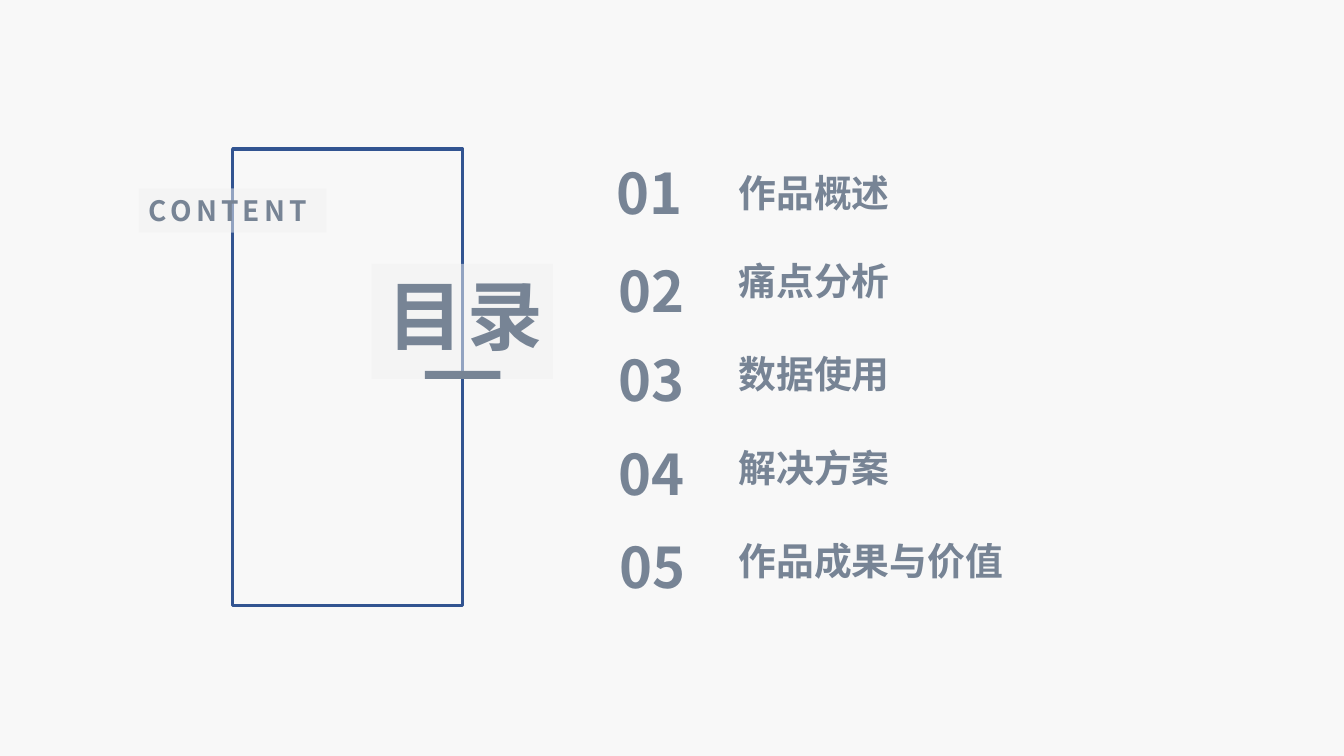
from lxml import etree
from pptx import Presentation
from pptx.dml.color import RGBColor
from pptx.enum import shapes, text
from pptx.oxml.ns import qn
from pptx.util import Pt

FONT = "Noto Sans CJK SC"
SLATE, BLUE, PALE = "778495", "325491", "F2F2F2"
AGENDA = [
    ("作品概述", 0, 0, 25.2),
    ("痛点分析", 1.2, 69.8, 87.8),
    ("数据使用", 1.2, 133.9, 154.4),
    ("解决方案", 1.2, 200.9, 221),
    ("作品成果与价值", 2.6, 267.1, 288),
]


def paint(fill, colour, opacity=None):
    fill.solid()
    fill.fore_color.rgb = RGBColor.from_string(colour)
    if opacity:
        for tint in fill._xPr.iter(qn("a:srgbClr")):
            etree.SubElement(tint, qn("a:alpha")).set("val", str(opacity * 1000))


def add_panel(slide, left, top, width, height, colour=None, opacity=None):
    panel = slide.shapes.add_shape(
        shapes.MSO_SHAPE.RECTANGLE, Pt(left), Pt(top), Pt(width), Pt(height))
    panel.shadow.inherit = False
    panel.line.fill.background()
    if colour:
        paint(panel.fill, colour, opacity)
    else:
        panel.fill.background()
    return panel


def add_label(slide, left, top, width, height):
    return slide.shapes.add_textbox(Pt(left), Pt(top), Pt(width), Pt(height))


def write(holder, words, size, anchor, wrap=False, align=text.PP_ALIGN.LEFT, spacing=0):
    frame = holder.text_frame
    frame.text = words
    frame.word_wrap = wrap
    frame.vertical_anchor = anchor
    line = frame.paragraphs[0]
    line.alignment = align
    run = line.runs[0]
    run.font.size = Pt(size)
    run.font.bold = True
    run.font.name = FONT
    run.font.color.rgb = RGBColor.from_string(SLATE)
    props = run.font._element
    if spacing:
        props.set("spc", str(spacing * 100))
    etree.SubElement(props, qn("a:ea")).set("typeface", FONT)


def draw_heading(slide, left, top, width, height):
    frame = add_panel(slide, left, top, width, height)
    paint(frame.line.fill, BLUE)
    frame.line.width = Pt(2.25)

    heading = add_panel(slide, left + 99.2, top + 82.1, 129.6, 82.1, PALE, 50)
    write(heading, "目录", 54, text.MSO_ANCHOR.TOP, True, text.PP_ALIGN.RIGHT, 3)

    subtitle = add_panel(slide, left - 67, top + 28.1, 133.9, 31.7, PALE, 50)
    write(subtitle, "CONTENT", 20, text.MSO_ANCHOR.TOP, spacing=3)

    add_panel(slide, left + 137.3, top + 158.4, 54, 5.8, SLATE)


def draw_agenda(slide, left, top, width):
    title_indent, title_height = 66.2, 19.4
    number_width, number_height = 64, 55.4
    for index, (topic, shift, number_top, topic_top) in enumerate(AGENDA, 1):
        number = add_label(slide, left + shift, top + number_top, number_width, number_height)
        write(number, f"{index:02d}", 40, text.MSO_ANCHOR.MIDDLE)

        title = add_label(
            slide, left + title_indent, top + topic_top, width - title_indent, title_height)
        write(title, topic, 27, text.MSO_ANCHOR.BOTTOM)
        frame = title.text_frame
        frame.margin_left = Pt(28.1)
        frame.margin_top = frame.margin_right = frame.margin_bottom = 0


def main():
    deck = Presentation()
    deck.slide_width, deck.slide_height = Pt(960), Pt(540)
    slide = deck.slides.add_slide(deck.slide_layouts[6])
    paint(slide.background.fill, "F8F8F8")
    draw_heading(slide, 166.2, 106.5, 164.2, 326.2)
    draw_agenda(slide, 433.2, 109.4, 378)
    deck.save("out.pptx")


if __name__ == "__main__":
    main()
